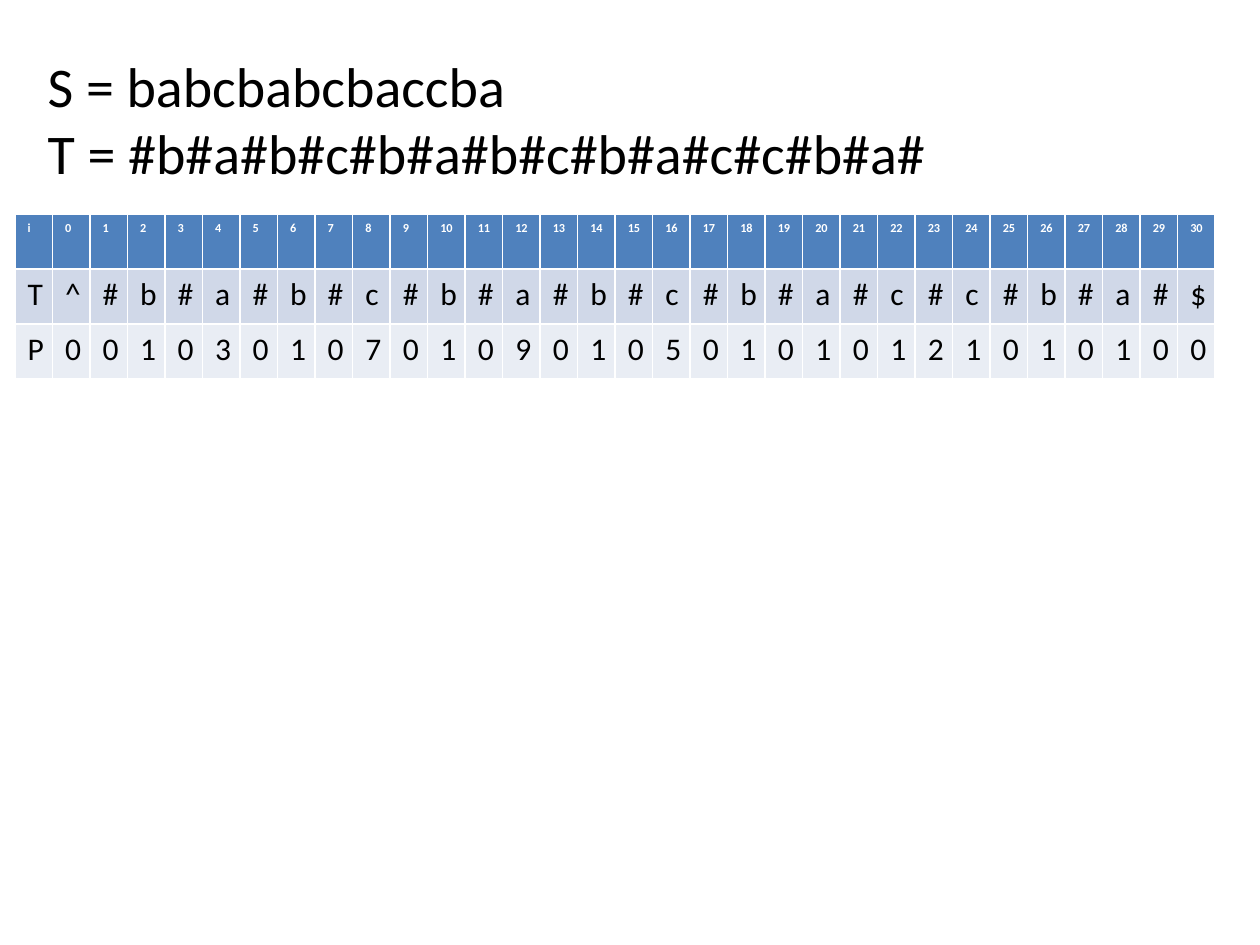
from dataclasses import dataclass

from pptx import Presentation
from pptx.dml.color import RGBColor
from pptx.enum.text import MSO_AUTO_SIZE
from pptx.util import Inches, Pt

GROW = MSO_AUTO_SIZE.SHAPE_TO_FIT_TEXT
BLANK = 6
FONT = "Calibri"
BLACK, WHITE = "000000", "FFFFFF"

WORD = "babcbabcbaccba"
PADDED = "#" + "#".join(WORD) + "#"
RADII = "0010301070109010501010121010100"


@dataclass
class Row:
    label: str
    values: list[str]
    fill: str
    size: int = 18
    color: str = BLACK
    bold: bool = False


ROWS = [
    Row("i", [str(i) for i in range(len(RADII))], "4F81BD", 7, WHITE, True),
    Row("T", list("^" + PADDED + "$"), "D0D8E8"),
    Row("P", list(RADII), "E9EDF4"),
]


def rgb(code: str) -> RGBColor:
    return RGBColor.from_string(code)


def add_run(para, text: str, size: int, color: str, bold: bool = False) -> None:
    run = para.add_run()
    run.text = text
    font = run.font
    font.name, font.size, font.bold = FONT, Pt(size), bold
    font.color.rgb = rgb(color)


def add_lines(slide, lines: list[str]) -> None:
    box = slide.shapes.add_textbox(
        Inches(0.28), Inches(0.36), Inches(7.25), Inches(1.18))
    frame = box.text_frame
    frame.word_wrap = False
    frame.auto_size = GROW
    for n, line in enumerate(lines):
        para = frame.add_paragraph() if n else frame.paragraphs[0]
        add_run(para, line, 32, BLACK)


def add_grid(slide, rows: list[Row]) -> None:
    """Draw a table whose white rules come from the default table style."""
    count = len(rows[0].values) + 1
    width, height = Inches(9.53), Inches(1.31)
    table = slide.shapes.add_table(
        len(rows), count, Inches(0.12), Inches(1.7), width, height).table
    for col in table.columns:
        col.width = width // count
    for line, row in zip(table.rows, rows):
        line.height = height // len(rows)
        for cell, text in zip(line.cells, [row.label, *row.values]):
            cell.margin_right = Inches(0.05)
            cell.fill.solid()
            cell.fill.fore_color.rgb = rgb(row.fill)
            para = cell.text_frame.paragraphs[0]
            add_run(para, text, row.size, row.color, row.bold)


def main() -> None:
    deck = Presentation()
    deck.slide_width, deck.slide_height = Inches(10), Inches(7.5)
    slide = deck.slides.add_slide(deck.slide_layouts[BLANK])
    add_lines(slide, [f"S = {WORD}", f"T = {PADDED}"])
    add_grid(slide, ROWS)
    deck.save("out.pptx")


if __name__ == "__main__":
    main()
